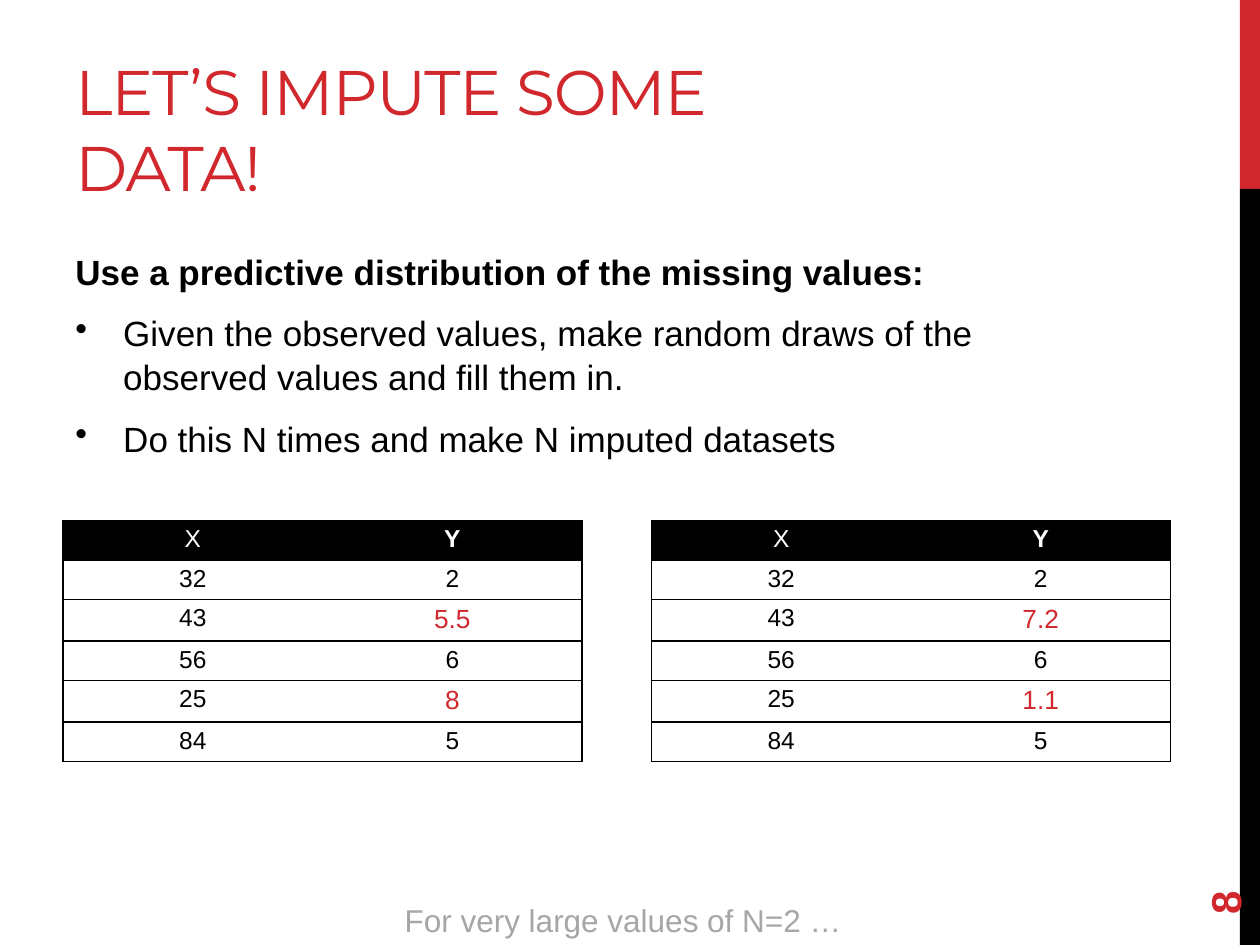
from lxml import etree
from pptx import Presentation
from pptx.dml.color import RGBColor
from pptx.enum.shapes import MSO_SHAPE
from pptx.enum.text import MSO_ANCHOR, PP_ALIGN
from pptx.oxml.ns import qn
from pptx.util import Inches, Pt

RECTANGLE = MSO_SHAPE.RECTANGLE
CENTER = PP_ALIGN.CENTER
TOP, MIDDLE, BOTTOM = MSO_ANCHOR.TOP, MSO_ANCHOR.MIDDLE, MSO_ANCHOR.BOTTOM

WIDTH, HEIGHT = 10, 7.5
MARGIN = 0.05 * WIDTH
BAR_LEFT = 9.84
RED, BLACK, WHITE, GRAY = "D1282E", "000000", "FFFFFF", "A6A6A6"

# Observed pairs; None marks a missing value to be imputed
OBSERVED = [(32, 2), (43, None), (56, 6), (25, None), (84, 5)]
IMPUTATIONS = [("5.5", "8"), ("7.2", "1.1")]
TABLE_TOP, TABLE_PITCH, COLUMN_WIDTH = 4.13, 4.67, 2.06
ROW_HEIGHT, IMPUTED_ROW_HEIGHT = 0.3, 0.33


def rgb(color):
    return RGBColor.from_string(color)


def style_font(paragraph, size, color, bold=False, name="Arial"):
    font = paragraph.font
    font.name, font.size, font.bold = name, Pt(size), bold
    font.color.rgb = rgb(color)


def add_bar(slide, top, height, color):
    bar = slide.shapes.add_shape(RECTANGLE, Inches(BAR_LEFT), Inches(top),
                                 Inches(WIDTH - BAR_LEFT), Inches(height))
    bar.shadow.inherit = False
    bar.fill.solid()
    bar.fill.fore_color.rgb = rgb(color)
    bar.line.fill.background()


def add_text(slide, box, lines, size, color, anchor=TOP, **font):
    shape = slide.shapes.add_textbox(*map(Inches, box))
    frame = shape.text_frame
    frame.word_wrap = True
    frame.vertical_anchor = anchor
    frame.text = "\n".join(lines)
    for paragraph in frame.paragraphs:
        style_font(paragraph, size, color, **font)
    return shape


def add_bullet(paragraph, indent):
    properties = paragraph._p.get_or_add_pPr()
    properties.set("marL", str(Inches(indent)))
    properties.set("indent", str(-Inches(indent)))
    bullet = etree.Element(qn("a:buChar"), char="•")
    defaults = properties.find(qn("a:defRPr"))
    if defaults is None:
        properties.append(bullet)
    else:
        defaults.addprevious(bullet)


def add_body(slide):
    lines = [
        "Use a predictive distribution of the missing values:",
        "Given the observed values, make random draws of the observed values and fill them in.",
        "Do this N times and make N imputed datasets",
    ]
    body = add_text(slide, (MARGIN, 1.92, 8.33, 4.78), lines, 20, BLACK)
    heading, *bullets = body.text_frame.paragraphs
    heading.font.bold = True
    for paragraph in (heading, *bullets):
        paragraph.line_spacing = 1.05
        paragraph.space_after = Pt(6)
    for paragraph in bullets:
        paragraph.space_before = Pt(4)
        add_bullet(paragraph, 0.38)


def set_borders(cell, visible_sides):
    properties = cell._tc.get_or_add_tcPr()
    for position, side in enumerate("LRTB"):
        line = etree.Element(qn(f"a:ln{side}"), w=str(Pt(1)))
        if side in visible_sides:
            fill = etree.SubElement(line, qn("a:solidFill"))
            etree.SubElement(fill, qn("a:srgbClr"), val=BLACK)
        else:
            etree.SubElement(line, qn("a:noFill"))
        properties.insert(position, line)


def fill_cell(cell, text, size, color, background, sides, bold=False):
    cell.fill.solid()
    cell.fill.fore_color.rgb = rgb(background)
    cell.margin_left = cell.margin_right = Inches(0.07)
    cell.margin_top = cell.margin_bottom = Inches(0.04)
    cell.text = text
    paragraph = cell.text_frame.paragraphs[0]
    paragraph.alignment = CENTER
    style_font(paragraph, size, color, bold)
    set_borders(cell, sides)


def add_dataset(slide, left, imputed_values):
    heights = [ROW_HEIGHT] + [IMPUTED_ROW_HEIGHT if y is None else ROW_HEIGHT
                              for _, y in OBSERVED]
    table = slide.shapes.add_table(len(heights), 2, Inches(left), Inches(TABLE_TOP),
                                   Inches(2 * COLUMN_WIDTH), Inches(sum(heights))).table
    table.horz_banding = False
    for column in table.columns:
        column.width = Inches(COLUMN_WIDTH)
    for row, height in zip(table.rows, heights):
        row.height = Inches(height)

    # Header row
    fill_cell(table.cell(0, 0), "X", 14, WHITE, BLACK, "LTB")
    fill_cell(table.cell(0, 1), "Y", 14, WHITE, BLACK, "RTB", bold=True)

    # Data rows, with draws in red where Y is missing
    draws = iter(imputed_values)
    for row, (x, y) in enumerate(OBSERVED, start=1):
        fill_cell(table.cell(row, 0), str(x), 14, BLACK, WHITE, "LTB")
        text, size, color = (next(draws), 15, RED) if y is None else (str(y), 14, BLACK)
        fill_cell(table.cell(row, 1), text, size, color, WHITE, "RTB")


def main():
    presentation = Presentation()
    presentation.slide_width, presentation.slide_height = Inches(WIDTH), Inches(HEIGHT)
    slide = presentation.slides.add_slide(presentation.slide_layouts[6])

    # Side bar
    add_bar(slide, 0, 0.2 * HEIGHT, RED)
    add_bar(slide, 0.2 * HEIGHT, 0.8 * HEIGHT, BLACK)

    # Title and body
    title = add_text(slide, (MARGIN, 0.17, 6.33, 1.5), ["LET’S IMPUTE SOME DATA!"],
                     36, RED, BOTTOM, name="Montserrat")
    title.text_frame.paragraphs[0].runs[0].font._element.set("spc", "-60")
    add_body(slide)

    # Page number, reading upwards
    number = add_text(slide, (9, 6.44, 1.44, 0.4), ["8"], 24, RED, MIDDLE, bold=True)
    number.rotation = 270

    # Imputed datasets
    for index, imputed_values in enumerate(IMPUTATIONS):
        add_dataset(slide, MARGIN + index * TABLE_PITCH, imputed_values)

    # Closing remark
    remark = add_text(slide, (3.01, 7.1, 3.87, 0.4), ["For very large values of N=2 …"], 18, GRAY)
    remark.text_frame.paragraphs[0].alignment = CENTER

    presentation.save("out.pptx")


if __name__ == "__main__":
    main()
